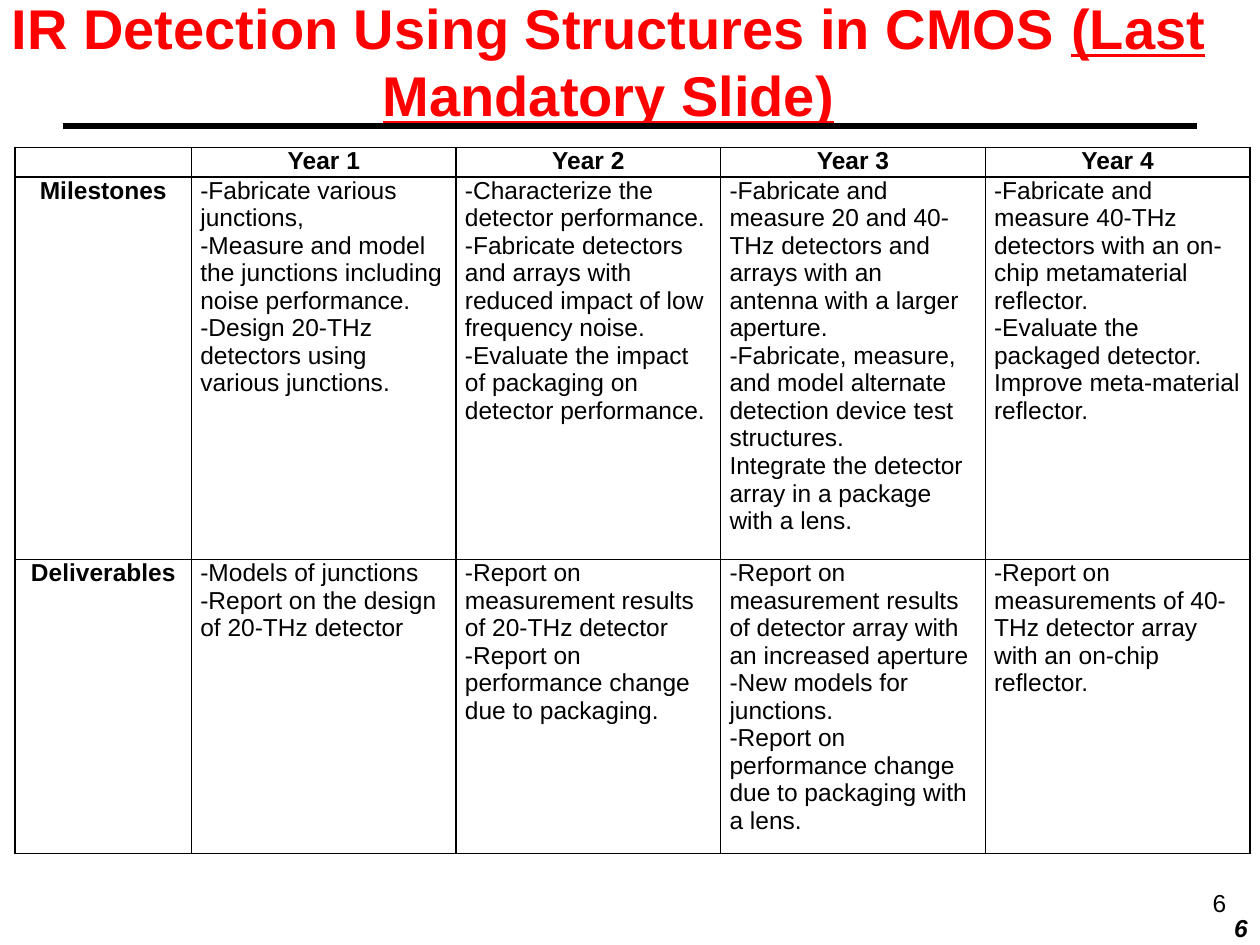
import pptx
import pptx.dml.color
import pptx.enum.shapes
import pptx.enum.text
import pptx.oxml.ns
import pptx.util
from lxml import etree
from pptx.util import Inches

BLACK, WHITE, RED = "000000", "FFFFFF", "FF0000"
ALIGN = pptx.enum.text.PP_ALIGN
ANCHOR = pptx.enum.text.MSO_ANCHOR

COLUMN_WIDTHS = [1.4] + [2.1] * 4
ROW_HEIGHTS = [0.22, 2.84, 2.18]
YEARS = ["Year 1", "Year 2", "Year 3", "Year 4"]
MILESTONES = [
    ["-Fabricate various junctions,",
     "-Measure and model the junctions including noise performance.",
     "-Design 20-THz detectors using various junctions."],
    ["-Characterize the detector performance.",
     "-Fabricate detectors and arrays with reduced impact of low frequency noise.",
     "-Evaluate the impact of packaging on detector performance."],
    ["-Fabricate and measure 20 and 40-THz detectors and arrays with an antenna "
     "with a larger aperture.",
     "-Fabricate, measure, and model alternate detection device test structures.",
     "Integrate the detector array in a package with a lens."],
    ["-Fabricate and measure 40-THz detectors with an on-chip metamaterial reflector.",
     "-Evaluate the packaged detector.",
     "Improve meta-material reflector."],
]
DELIVERABLES = [
    ["-Models of junctions",
     "-Report on the design of 20-THz detector"],
    ["-Report on measurement results of 20-THz detector",
     "-Report on performance change due to packaging."],
    ["-Report on measurement results of detector array with an increased aperture",
     "-New models for junctions.",
     "-Report on performance change due to packaging with a lens."],
    ["-Report on measurements of 40-THz detector array with an on-chip reflector."],
]


def rgb(value):
    return pptx.dml.color.RGBColor.from_string(value)


def add_xml(parent, tag, **attributes):
    return etree.SubElement(parent, pptx.oxml.ns.qn(tag), **attributes)


def set_values(target, values):
    for name, value in values.items():
        setattr(target, name, value)


def add_run(paragraph, text, size=14, color=BLACK, **style):
    run = paragraph.add_run()
    run.text = text
    set_values(run.font, {"name": "Arial", "size": pptx.util.Pt(size), **style})
    run.font.color.rgb = rgb(color)


def add_title(slide):
    title = slide.shapes.title
    set_values(title, {"left": Inches(-0.17), "top": Inches(0),
                       "width": Inches(10), "height": Inches(0.96)})
    set_values(title.text_frame, {
        "margin_top": 0, "margin_bottom": 0, "word_wrap": True,
        "vertical_anchor": ANCHOR.MIDDLE,
        "auto_size": pptx.enum.text.MSO_AUTO_SIZE.NONE})
    heading = title.text_frame.paragraphs[0]
    heading.alignment = ALIGN.CENTER
    style = {"size": 32, "color": RED, "bold": True}
    add_run(heading, "IR Detection Using Structures in CMOS ", **style)
    add_run(heading, "(Last Mandatory Slide)", underline=True, **style)


def add_title_rule(slide):
    rule = slide.shapes.add_connector(
        pptx.enum.shapes.MSO_CONNECTOR.STRAIGHT,
        Inches(0.5), Inches(1), Inches(9.5), Inches(1))
    rule.line.color.rgb = rgb(BLACK)
    rule.line.width = pptx.util.Pt(4)
    add_xml(rule.element.spPr, "a:effectLst")


def add_page_number(slide, left, top, width, height, anchor, **style):
    box = slide.shapes.add_textbox(*map(Inches, (left, top, width, height)))
    set_values(box.text_frame, {"word_wrap": True, "vertical_anchor": anchor})
    number = box.text_frame.paragraphs[0]
    number.alignment = ALIGN.RIGHT
    add_run(number, "6", **style)


def add_borders(cell):
    properties = cell._tc.get_or_add_tcPr()
    for side in ("L", "R", "T", "B"):
        border = add_xml(properties, f"a:ln{side}", w=str(pptx.util.Pt(1)))
        add_xml(add_xml(border, "a:solidFill"), "a:srgbClr", val=BLACK)


def fill_cell(cell, lines, is_heading):
    add_borders(cell)
    cell.fill.solid()
    cell.fill.fore_color.rgb = rgb(WHITE)
    set_values(cell, {"margin_left": Inches(0.07), "margin_right": Inches(0.07),
                      "margin_top": 0, "margin_bottom": 0})
    frame = cell.text_frame
    for index, line in enumerate(lines):
        paragraph = frame.add_paragraph() if index else frame.paragraphs[0]
        paragraph.alignment = ALIGN.CENTER if is_heading else ALIGN.LEFT
        add_run(paragraph, line, bold=is_heading)
    if not lines:
        # Keeps the empty corner cell from stretching the header row.
        add_xml(frame.paragraphs[0]._p, "a:endParaRPr", sz="1400")


def add_schedule(slide):
    rows = [
        [[]] + [[year] for year in YEARS],
        [["Milestones"]] + MILESTONES,
        [["Deliverables"]] + DELIVERABLES,
    ]
    schedule = slide.shapes.add_table(
        len(ROW_HEIGHTS), len(COLUMN_WIDTHS), Inches(0.12), Inches(1.17),
        Inches(sum(COLUMN_WIDTHS)), Inches(sum(ROW_HEIGHTS))).table
    set_values(schedule, {"first_row": False, "horz_banding": False})
    for column, width in zip(schedule.columns, COLUMN_WIDTHS):
        column.width = Inches(width)
    for row, height in zip(schedule.rows, ROW_HEIGHTS):
        row.height = Inches(height)
    for r, row in enumerate(rows):
        for c, lines in enumerate(row):
            fill_cell(schedule.cell(r, c), lines, is_heading=r == 0 or c == 0)


def main():
    presentation = pptx.Presentation()
    set_values(presentation, {"slide_width": Inches(10), "slide_height": Inches(7.5)})
    slide = presentation.slides.add_slide(presentation.slide_layouts[5])
    add_title_rule(slide)
    add_page_number(slide, 8.58, 7.25, 1.42, 0.22, ANCHOR.MIDDLE, bold=True, italic=True)
    add_page_number(slide, 7.53, 7, 2.3, 0.4, ANCHOR.TOP)
    add_schedule(slide)
    add_title(slide)
    presentation.save("out.pptx")


if __name__ == "__main__":
    main()
